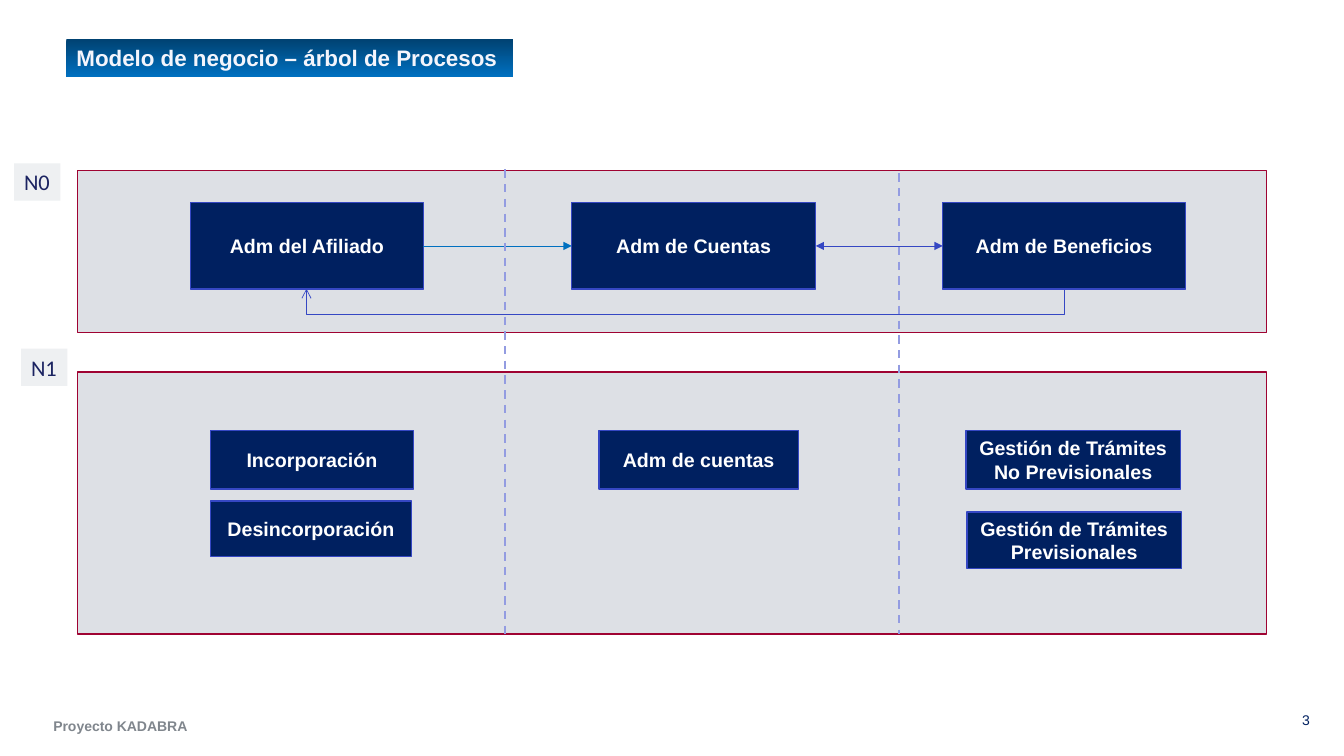
import pptx
import pptx.util
import pptx.dml.color
import pptx.enum.dml
import pptx.enum.shapes
import pptx.enum.text
import pptx.oxml
import pptx.oxml.ns
from dataclasses import dataclass

Inches = pptx.util.Inches
Pt = pptx.util.Pt
Align = pptx.enum.text.PP_ALIGN
Anchor = pptx.enum.text.MSO_ANCHOR
Connector = pptx.enum.shapes.MSO_CONNECTOR
qn = pptx.oxml.ns.qn


@dataclass(frozen=True)
class Theme:
    navy: str = "002060"
    outline: str = "3547C3"
    band: str = "DDE0E5"
    band_line: str = "9F0332"
    tag: str = "EEF0F2"
    tag_text: str = "1B2361"
    title_top: str = "004272"
    blue: str = "0070C0"
    title_text: str = "F4F5FC"
    divider: str = "939CE1"
    footer: str = "80868D"
    white: str = "FFFFFF"
    font: str = "Arial"
    tag_font: str = "Calibri"
    heading: int = 16
    process: int = 14
    small: int = 10


THEME = Theme()


def rgb(value):
    return pptx.dml.color.RGBColor.from_string(value)


def write(shape, text, size, color, font=THEME.font, bold=False,
          align=Align.LEFT, anchor=Anchor.TOP, wrap=True):
    frame = shape.text_frame
    frame.word_wrap = wrap
    frame.vertical_anchor = anchor
    para = frame.paragraphs[0]
    para.alignment = align
    span = para.add_run()
    span.text = text
    span.font.name = font
    span.font.size = Pt(size)
    span.font.bold = bold
    span.font.color.rgb = rgb(color)


def add_box(page, left, top, width, height, fill, line=None):
    box = page.shapes.add_shape(
        pptx.enum.shapes.MSO_SHAPE.RECTANGLE,
        Inches(left), Inches(top), Inches(width), Inches(height))
    box.shadow.inherit = False
    box.fill.solid()
    box.fill.fore_color.rgb = rgb(fill)
    if line:
        box.line.color.rgb = rgb(line)
        box.line.width = Pt(1)
    else:
        box.line.fill.background()
    return box


def add_process(page, text, left, top, width, height):
    box = add_box(page, left, top, width, height, THEME.navy, THEME.outline)
    write(box, text, THEME.process, THEME.white, bold=True,
          align=Align.CENTER, anchor=Anchor.MIDDLE)
    return box


def add_tag(page, text, left, top):
    tag = add_box(page, left, top, 0.46, 0.37, THEME.tag)
    write(tag, text, THEME.heading, THEME.tag_text, THEME.tag_font, wrap=False)


def add_title(page, text):
    title = add_box(page, 0.66, 0.39, 4.43, 0.37, THEME.blue)
    title.fill.gradient()
    title.fill.gradient_angle = 270
    for stop, color in zip(title.fill.gradient_stops, (THEME.title_top, THEME.blue)):
        stop.color.rgb = rgb(color)
    write(title, text, THEME.heading, THEME.title_text, bold=True, wrap=False)


def add_label(page, text, left, top, width, height, color, **style):
    label = page.shapes.add_textbox(
        Inches(left), Inches(top), Inches(width), Inches(height))
    write(label, text, THEME.small, color, **style)


def add_line(page, kind, start, end, color, width, **arrows):
    line = page.shapes.add_connector(kind, *map(Inches, start + end))
    line.line.color.rgb = rgb(color)
    line.line.width = Pt(width)
    pptx.oxml.ns.qn
    properties = line._element.spPr
    properties.append(properties.makeelement(qn("a:effectLst"), {}))
    outline = line.line._get_or_add_ln()
    for end_name in ("headEnd", "tailEnd"):
        if end_name in arrows:
            outline.append(outline.makeelement(
                qn("a:" + end_name), {"type": arrows[end_name]}))
    return line


def add_divider(page, x, top, bottom):
    line = add_line(page, Connector.STRAIGHT, (x, top), (x, bottom), THEME.divider, 1.5)
    line.line.dash_style = pptx.enum.dml.MSO_LINE.DASH


def link(page, source, target, color, **arrows):
    line = add_line(page, Connector.STRAIGHT, (0, 0), (1, 1), color, 0.5, **arrows)
    line.begin_connect(source, 3)
    line.end_connect(target, 1)


def add_return(page, start_x, end_x, y, drop):
    depth = 0.01
    middle = (start_x + end_x) / 2
    half = (start_x - end_x) / 2
    line = add_line(page, Connector.ELBOW,
                    (middle + depth / 2, y - half), (middle - depth / 2, y + half),
                    THEME.outline, 0.5, tailEnd="arrow")
    properties = line._element.spPr
    properties.find(qn("a:xfrm")).set("rot", "5400000")
    guides = properties.find(qn("a:prstGeom")).get_or_add_avLst()
    guides.append(guides.makeelement(
        qn("a:gd"), {"name": "adj1", "fmla": f"val {round(-drop / depth * 100000)}"}))


def main():
    deck = pptx.Presentation()
    deck.slide_width = Inches(13.33)
    deck.slide_height = Inches(7.5)
    page = deck.slides.add_slide(deck.slide_layouts[6])

    add_label(page, "Proyecto KADABRA", 0.43, 7.07, 1.55, 0.27,
              THEME.footer, bold=True, wrap=False)
    add_label(page, "3", 11.92, 6.94, 1.17, 0.4, THEME.navy,
              align=Align.RIGHT, anchor=Anchor.MIDDLE)
    add_title(page, "Modelo de negocio – árbol de Procesos")

    for top, height in ((1.69, 1.61), (3.69, 2.6)):
        add_box(page, 0.77, top, 11.79, height, THEME.band, THEME.band_line)
    add_tag(page, "N0", 0.14, 1.62)
    add_tag(page, "N1", 0.21, 3.46)

    member, accounts, benefits = [
        add_process(page, text, left, 2.01, width, 0.86)
        for text, left, width in (
            ("Adm del Afiliado", 1.89, 2.31),
            ("Adm de Cuentas", 5.67, 2.42),
            ("Adm de Beneficios", 9.35, 2.41))]
    for text, left, top, width, height in (
            ("Incorporación", 2.09, 4.27, 2.01, 0.58),
            ("Desincorporación", 2.09, 4.97, 1.99, 0.55),
            ("Adm de cuentas", 5.94, 4.27, 1.98, 0.58),
            ("Gestión de Trámites No Previsionales", 9.58, 4.27, 2.13, 0.58),
            ("Gestión de Trámites Previsionales", 9.59, 5.08, 2.13, 0.56)):
        add_process(page, text, left, top, width, height)

    link(page, member, accounts, THEME.blue, tailEnd="triangle")
    link(page, accounts, benefits, THEME.outline, headEnd="triangle", tailEnd="triangle")
    add_return(page, 10.56, 3.04, 2.87, 0.25)
    add_divider(page, 5.01, 1.68, 6.3)
    add_divider(page, 8.92, 1.72, 6.29)

    deck.save("out.pptx")


main()
